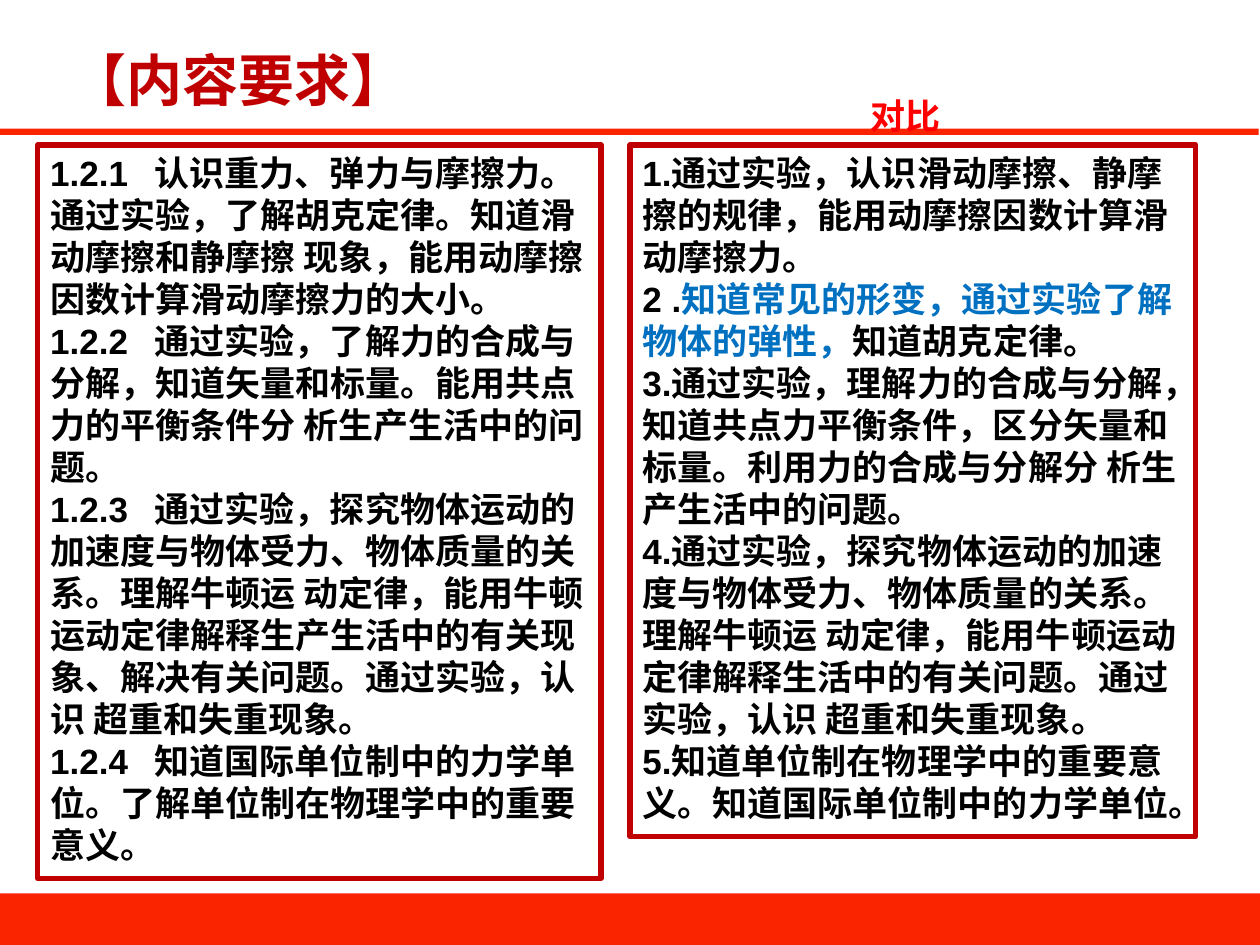
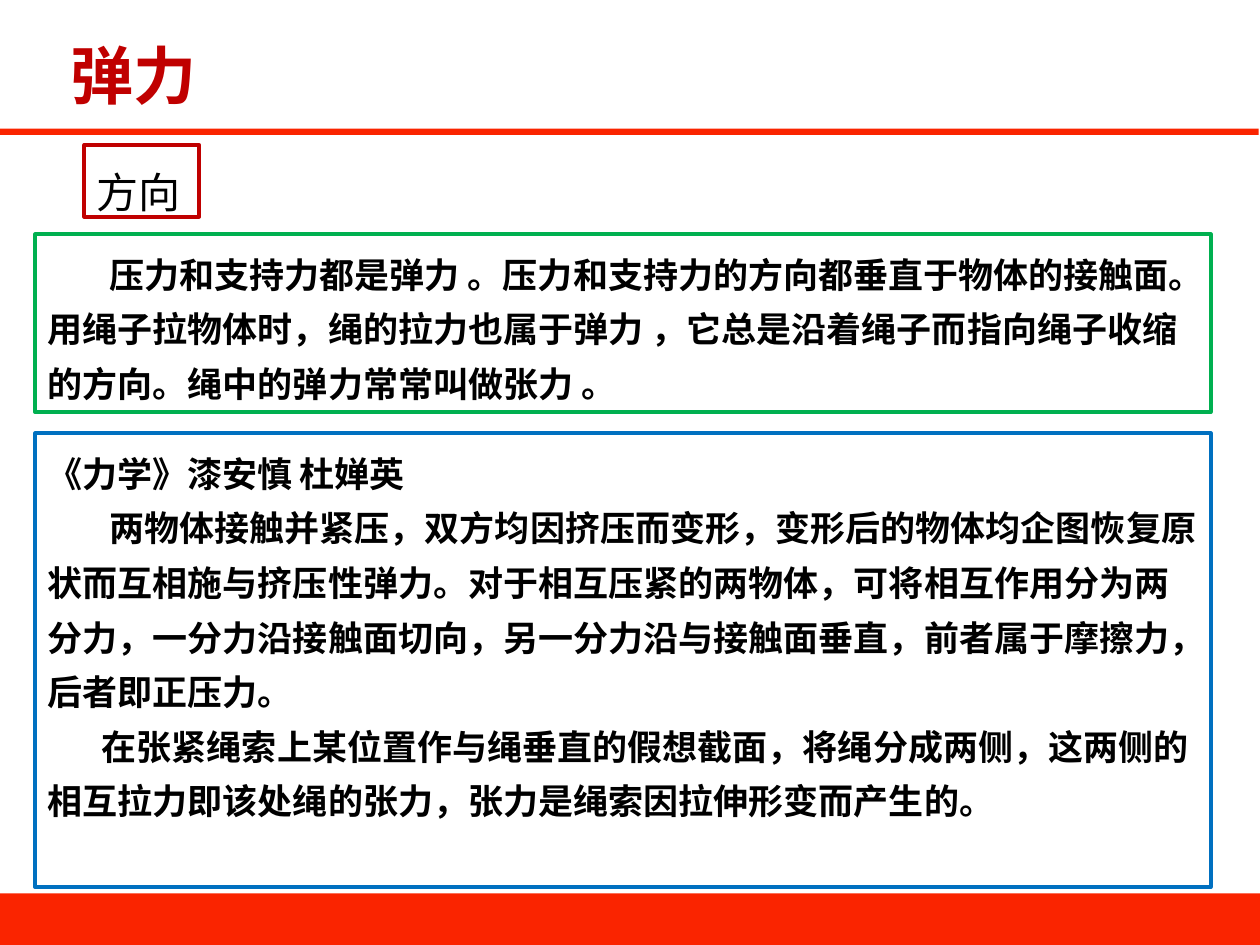
from lxml import etree
from pptx import Presentation, util as u
from pptx.dml.color import RGBColor
from pptx.enum import shapes, text
from pptx.oxml.ns import qn

COLOURS = {
    "band": "FA2400", "title": "C00000", "black": "000000", "red": "FF0000",
    "blue": "0070C0", "green": "00B050",
}
LATIN, CHINESE = "Arial", "Noto Sans CJK SC"
BANDS = [(0, 7.09, 10, 0.42), (-0.01, 1.02, 10, 0.05)]
TITLE_AT = (0.46, 0.18, 9.07, 0.77)

NEW_STANDARD = [
    "1.2.1\t认识重力、弹力与摩擦力。通过实验，了解胡克定律。知道滑动摩擦和静摩擦 现象，能用动摩擦因数计算滑动摩擦力的大小。",
    "1.2.2\t通过实验，了解力的合成与分解，知道矢量和标量。能用共点力的平衡条件分 析生产生活中的问题。",
    "1.2.3\t通过实验，探究物体运动的加速度与物体受力、物体质量的关系。理解牛顿运 动定律，能用牛顿运动定律解释生产生活中的有关现象、解决有关问题。通过实验，认识 超重和失重现象。",
    "1.2.4\t知道国际单位制中的力学单位。了解单位制在物理学中的重要意义。",
]
OLD_STANDARD = [
    "1.通过实验，认识滑动摩擦、静摩擦的规律，能用动摩擦因数计算滑动摩擦力。",
    [("2 .", "black"), ("知道常见的形变，通过实验了解物体的弹性，", "blue"), ("知道胡克定律。", "black")],
    "3.通过实验，理解力的合成与分解，知道共点力平衡条件，区分矢量和标量。利用力的合成与分解分 析生产生活中的问题。",
    "4.通过实验，探究物体运动的加速度与物体受力、物体质量的关系。理解牛顿运 动定律，能用牛顿运动定律解释生活中的有关问题。通过实验，认识 超重和失重现象。",
    "5.知道单位制在物理学中的重要意义。知道国际单位制中的力学单位。",
]
DIRECTION = [
    "压力和支持力都是弹力 。压力和支持力的方向都垂直于物体的接触面。用绳子拉物体时，绳的拉力也属于弹力 ，它总是沿着绳子而指向绳子收缩的方向。绳中的弹力常常叫做张力 。",
]
MECHANICS_BOOK = [
    "《力学》漆安慎\t杜婵英",
    "两物体接触并紧压，双方均因挤压而变形，变形后的物体均企图恢复原状而互相施与挤压性弹力。对于相互压紧的两物体，可将相互作用分为两分力，一分力沿接触面切向，另一分力沿与接触面垂直，前者属于摩擦力，后者即正压力。",
    "在张紧绳索上某位置作与绳垂直的假想截面，将绳分成两侧，这两侧的相互拉力即该处绳的张力，张力是绳索因拉伸形变而产生的。",
]

SLIDES = [
    {"title": "【内容要求】", "title_size": 32, "boxes": [
        dict(at=(0.3, 1.15, 4.47, 5.82), paragraphs=NEW_STANDARD, border="title", width=3, tab=0.83),
        dict(at=(5, 1.15, 4.49, 5.49), paragraphs=OLD_STANDARD, border="title", width=3),
        dict(at=(6.81, 0.6, 0.79, 0.54), paragraphs=["对比"], colour="red", spacing=1.3),
    ]},
    {"title": "弹力", "title_size": 36, "boxes": [
        dict(at=(0.67, 1.15, 0.91, 0.57), paragraphs=["方向"], border="title", size=24, bold=False, spacing=1.3),
        dict(at=(0.28, 1.86, 9.33, 1.41), paragraphs=DIRECTION, border="green", spacing=1.3, indents=[0.49]),
        dict(at=(0.28, 3.44, 9.33, 3.6), paragraphs=MECHANICS_BOOK, border="blue", spacing=1.3,
             tab=2.12, indents=[0, 0.49, 0.43]),
    ]},
]


def rgb(name):
    return RGBColor.from_string(COLOURS[name])


def place(at):
    return [u.Inches(length) for length in at]


def add_tab(paragraph, position):
    tabs = etree.SubElement(paragraph._p.get_or_add_pPr(), qn("a:tabLst"))
    etree.SubElement(tabs, qn("a:tab"), pos=str(u.Inches(position)), algn="l")


def add_run(paragraph, words, size, bold, colour, latin):
    run = paragraph.add_run()
    run.text = words
    run.font.size = u.Pt(size)
    run.font.bold = bold
    run.font.color.rgb = rgb(colour)
    run.font.name = latin
    etree.SubElement(run._r.get_or_add_rPr(), qn("a:ea"), typeface=CHINESE)


def add_text(slide, at, paragraphs, size=20, bold=True, colour="black", latin=LATIN,
             spacing=1.0, border=None, width=2.25, tab=None, indents=(),
             anchor=text.MSO_ANCHOR.TOP):
    shape = slide.shapes.add_textbox(*place(at))
    if border:
        shape.line.color.rgb = rgb(border)
        shape.line.width = u.Pt(width)
    frame = shape.text_frame
    frame.word_wrap = True
    frame.vertical_anchor = anchor
    for index, content in enumerate(paragraphs):
        paragraph = frame.add_paragraph() if index else frame.paragraphs[0]
        runs = [(content, colour)] if isinstance(content, str) else content
        if tab and "\t" in runs[0][0]:
            add_tab(paragraph, tab)
        if index < len(indents):
            paragraph._p.get_or_add_pPr().set("indent", str(u.Inches(indents[index])))
        paragraph.line_spacing = spacing
        for words, run_colour in runs:
            add_run(paragraph, words, size, bold, run_colour, latin)


def add_base(slide, title, title_size):
    for at in BANDS:
        band = slide.shapes.add_shape(shapes.MSO_SHAPE.RECTANGLE, *place(at))
        band.shadow.inherit = False
        band.fill.solid()
        band.fill.fore_color.rgb = rgb("band")
        band.line.fill.background()
    add_text(slide, TITLE_AT, [title], size=title_size, colour="title", latin=CHINESE,
             spacing=0.9, anchor=text.MSO_ANCHOR.BOTTOM)


def main():
    presentation = Presentation()
    presentation.slide_width = u.Inches(10)
    presentation.slide_height = u.Inches(7.5)
    for content in SLIDES:
        slide = presentation.slides.add_slide(presentation.slide_layouts[6])
        add_base(slide, content["title"], content["title_size"])
        for box in content["boxes"]:
            add_text(slide, **box)
    presentation.save("out.pptx")


if __name__ == "__main__":
    main()
